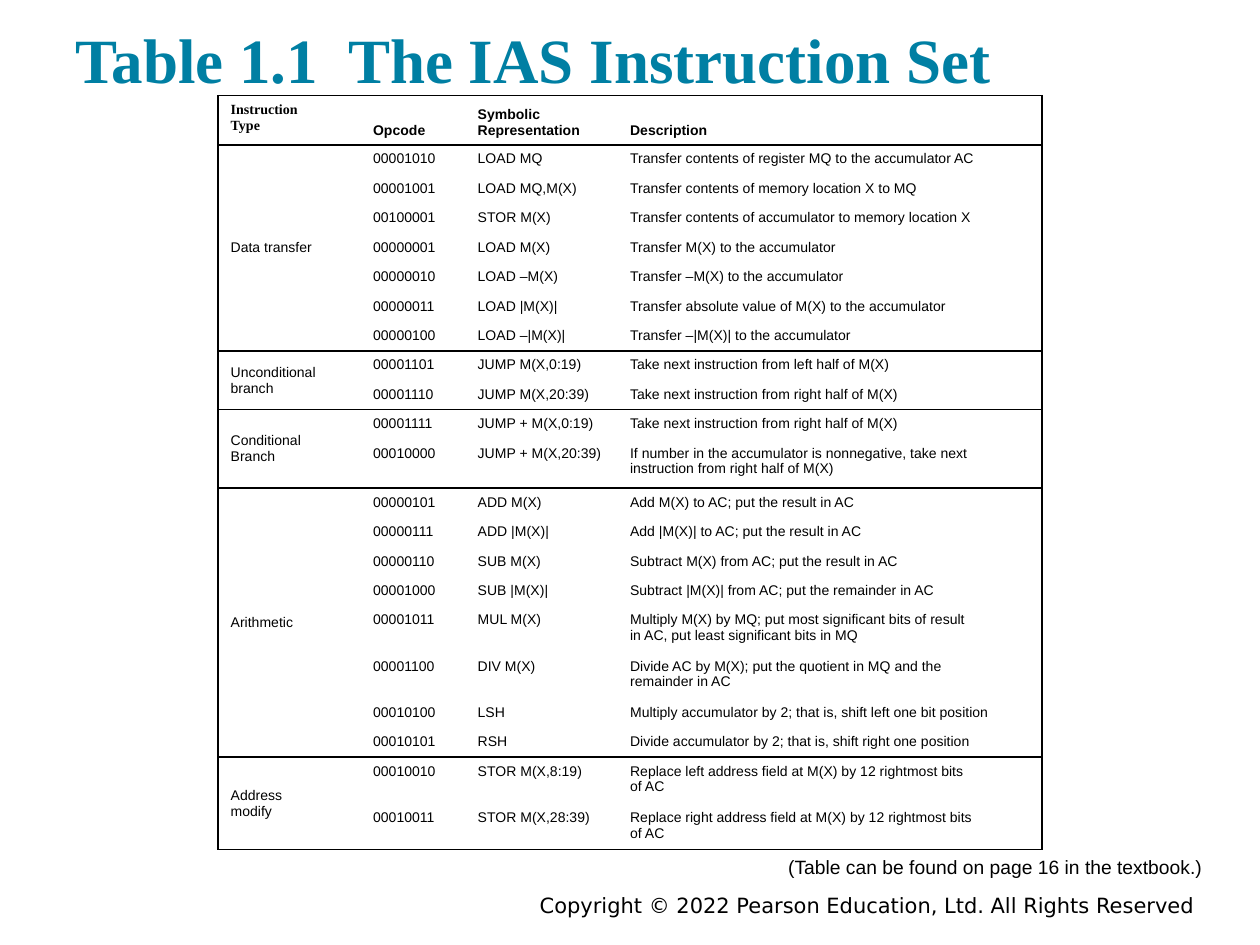
from dataclasses import dataclass

from lxml.etree import SubElement
from pptx import Presentation
from pptx.dml.color import RGBColor
from pptx.enum.text import MSO_ANCHOR as Anchor, PP_ALIGN as Align
from pptx.oxml.ns import qn
from pptx.util import Pt

BLACK, TEAL = "000000", "007FA3"
COLUMN_WIDTHS = (81.4, 59.8, 87.1, 242.6)
SINGLE_HEIGHT, DOUBLE_HEIGHT, TALL_HEIGHT = 16.6, 25.2, 28.1


@dataclass(frozen=True)
class Style:
    size: float
    font: str = "Arial"
    color: str = BLACK
    bold: bool = False
    align: Align = Align.LEFT
    anchor: Anchor = Anchor.TOP


@dataclass(frozen=True)
class Instruction:
    opcode: str
    symbol: str
    description: str
    height: float = SINGLE_HEIGHT


@dataclass(frozen=True)
class Group:
    kind: str
    instructions: tuple[Instruction, ...]


HEADINGS = ("Instruction\nType", "Opcode", "Symbolic\nRepresentation", "Description")
GROUPS = (
    Group("Data transfer", (
        Instruction("00001010", "LOAD MQ", "Transfer contents of register MQ to the accumulator AC"),
        Instruction("00001001", "LOAD MQ,M(X)", "Transfer contents of memory location X to MQ"),
        Instruction("00100001", "STOR M(X)", "Transfer contents of accumulator to memory location X"),
        Instruction("00000001", "LOAD M(X)", "Transfer M(X) to the accumulator"),
        Instruction("00000010", "LOAD –M(X)", "Transfer –M(X) to the accumulator"),
        Instruction("00000011", "LOAD |M(X)|", "Transfer absolute value of M(X) to the accumulator"),
        Instruction("00000100", "LOAD –|M(X)|", "Transfer –|M(X)| to the accumulator"),
    )),
    Group("Unconditional\nbranch", (
        Instruction("00001101", "JUMP M(X,0:19)", "Take next instruction from left half of M(X)"),
        Instruction("00001110", "JUMP M(X,20:39)", "Take next instruction from right half of M(X)"),
    )),
    Group("Conditional\nBranch", (
        Instruction("00001111", "JUMP + M(X,0:19)", "Take next instruction from right half of M(X)"),
        Instruction("00010000", "JUMP + M(X,20:39)",
                    "If number in the accumulator is nonnegative, take next\n"
                    "instruction from right half of M(X)", TALL_HEIGHT),
    )),
    Group("Arithmetic", (
        Instruction("00000101", "ADD M(X)", "Add M(X) to AC; put the result in AC"),
        Instruction("00000111", "ADD |M(X)|", "Add |M(X)| to AC; put the result in AC"),
        Instruction("00000110", "SUB M(X)", "Subtract M(X) from AC; put the result in AC"),
        Instruction("00001000", "SUB |M(X)|", "Subtract |M(X)| from AC; put the remainder in AC"),
        Instruction("00001011", "MUL M(X)",
                    "Multiply M(X) by MQ; put most significant bits of result\n"
                    "in AC, put least significant bits in MQ", DOUBLE_HEIGHT),
        Instruction("00001100", "DIV M(X)",
                    "Divide AC by M(X); put the quotient in MQ and the\n"
                    "remainder in AC", DOUBLE_HEIGHT),
        Instruction("00010100", "LSH", "Multiply accumulator by 2; that is, shift left one bit position"),
        Instruction("00010101", "RSH", "Divide accumulator by 2; that is, shift right one position"),
    )),
    Group("Address\nmodify", (
        Instruction("00010010", "STOR M(X,8:19)",
                    "Replace left address field at M(X) by 12 rightmost bits\nof AC", DOUBLE_HEIGHT),
        Instruction("00010011", "STOR M(X,28:39)",
                    "Replace right address field at M(X) by 12 rightmost bits\nof AC", DOUBLE_HEIGHT),
    )),
)


def rgb(color: str) -> RGBColor:
    return RGBColor.from_string(color)


def write(frame, text: str, style: Style) -> None:
    frame.text = text
    for paragraph in frame.paragraphs:
        paragraph.alignment = style.align
        for run in paragraph.runs:
            run.font.size = Pt(style.size)
            run.font.name = style.font
            run.font.bold = style.bold
            run.font.color.rgb = rgb(style.color)


def add_text(slide, text: str, left: float, top: float, width: float,
             height: float, style: Style, inset: float = 3.6) -> None:
    frame = slide.shapes.add_textbox(Pt(left), Pt(top), Pt(width), Pt(height)).text_frame
    frame.word_wrap = True
    frame.margin_top = frame.margin_bottom = Pt(inset)
    frame.vertical_anchor = style.anchor
    write(frame, text, style)


def rule_cell(cell, sides: str) -> None:
    """Draw a 1 pt line on the sides named by the letters L, R, T and B."""
    properties = cell._tc.get_or_add_tcPr()
    for side in "LRTB":
        line = SubElement(properties, qn(f"a:ln{side}"), w=str(Pt(1)))
        if side in sides:
            fill = SubElement(line, qn("a:solidFill"))
            SubElement(fill, qn("a:srgbClr"), val=BLACK)
        else:
            SubElement(line, qn("a:noFill"))
    cell.fill.background()


def fill_cell(table, row: int, column: int, text: str, style: Style) -> None:
    cell = table.cell(row, column)
    cell.vertical_anchor = style.anchor
    write(cell.text_frame, text, style)


def rule_block(table, first: int, last: int) -> None:
    """Frame the rows from first to last, with no lines inside."""
    for row in range(first, last + 1):
        for column in range(len(COLUMN_WIDTHS)):
            sides = "L" * (column == 0) + "R" * (column == len(COLUMN_WIDTHS) - 1)
            sides += "T" * (row == first)
            sides += "B" * (row == last or (row == first and column == 0))
            rule_cell(table.cell(row, column), sides)


def add_instruction_table(slide) -> None:
    heights = [TALL_HEIGHT] + [i.height for group in GROUPS for i in group.instructions]
    table = slide.shapes.add_table(
        len(heights), len(COLUMN_WIDTHS), Pt(124.6), Pt(54.7),
        Pt(sum(COLUMN_WIDTHS)), Pt(sum(heights))).table
    for column, width in zip(table.columns, COLUMN_WIDTHS):
        column.width = Pt(width)
    for row, height in zip(table.rows, heights):
        row.height = Pt(height)

    type_heading = Style(8, "Times New Roman", bold=True)
    heading = Style(8, bold=True, anchor=Anchor.BOTTOM)
    for column, text in enumerate(HEADINGS):
        fill_cell(table, 0, column, text, heading if column else type_heading)
    rule_block(table, 0, 0)

    body, kind = Style(8), Style(8, anchor=Anchor.MIDDLE)
    first = 1
    for group in GROUPS:
        last = first + len(group.instructions) - 1
        table.cell(first, 0).merge(table.cell(last, 0))
        fill_cell(table, first, 0, group.kind, kind)
        for row, item in enumerate(group.instructions, first):
            for column, text in enumerate((item.opcode, item.symbol, item.description), 1):
                fill_cell(table, row, column, text, body)
        rule_block(table, first, last)
        first = last + 1


def main() -> None:
    deck = Presentation()
    deck.slide_width, deck.slide_height = Pt(720), Pt(540)
    slide = deck.slides.add_slide(deck.slide_layouts[6])
    add_text(slide, "Copyright © 2022 Pearson Education, Ltd. All Rights Reserved",
             126, 506.2, 563.8, 15.8, Style(12, "DejaVu Sans", align=Align.RIGHT))
    add_instruction_table(slide)
    add_text(slide, "(Table can be found on page 16 in the textbook.)",
             434.2, 485.3, 269.3, 20.9, Style(11, align=Align.CENTER))
    add_text(slide, "Table 1.1  The IAS Instruction Set", 36, 13.3, 648, 49,
             Style(36, "Times New Roman", TEAL, bold=True, anchor=Anchor.BOTTOM), inset=7.2)
    deck.save("out.pptx")


if __name__ == "__main__":
    main()
